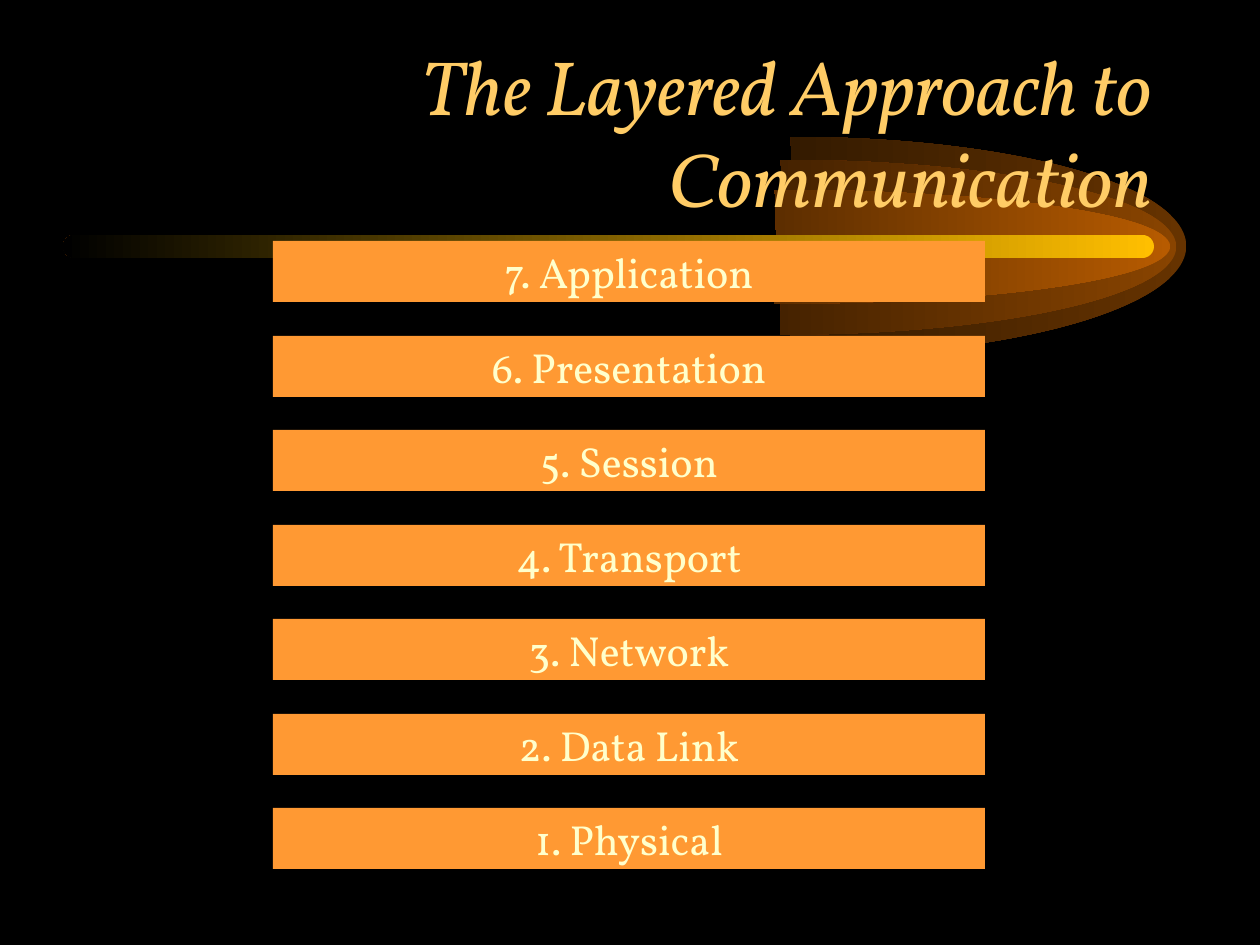
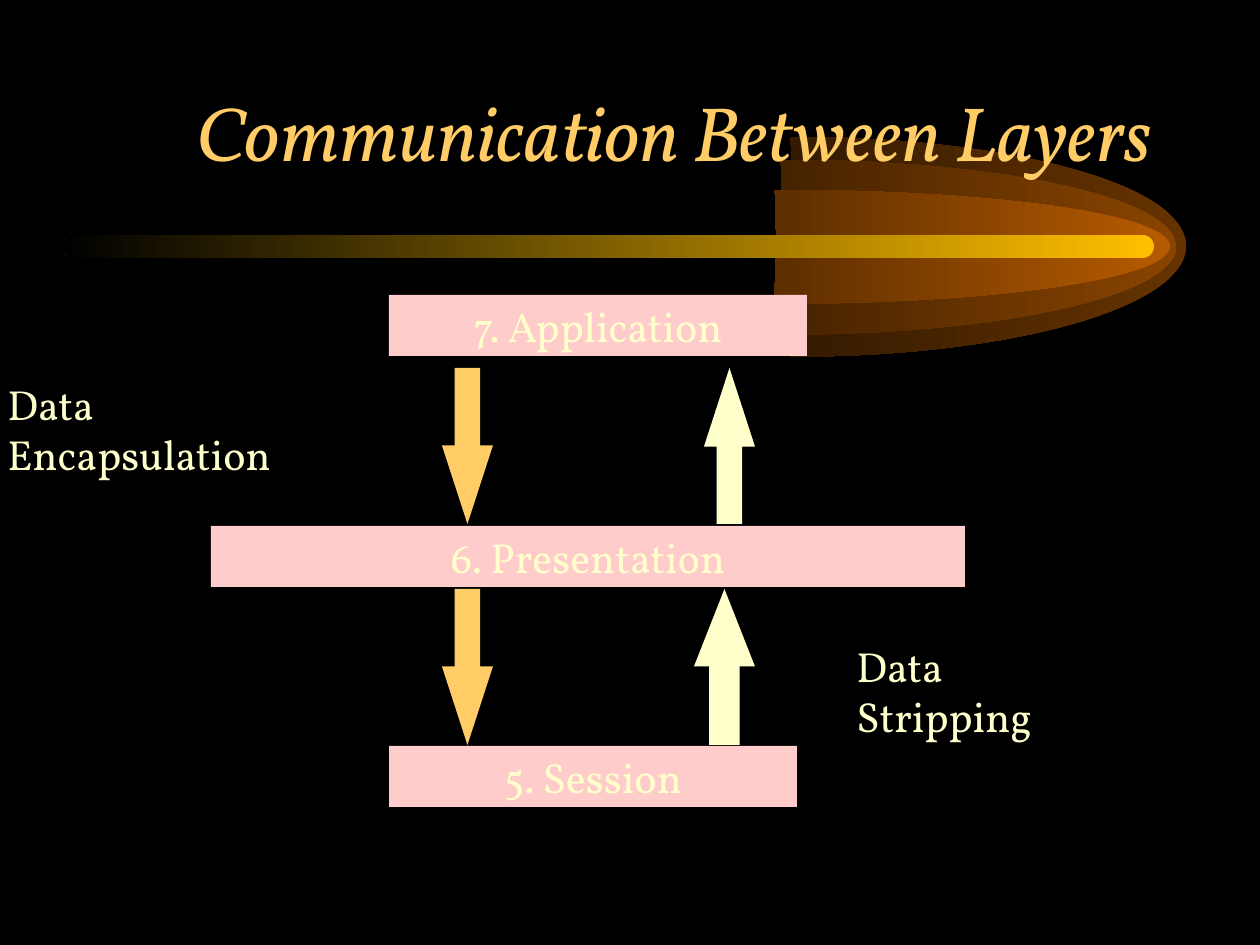
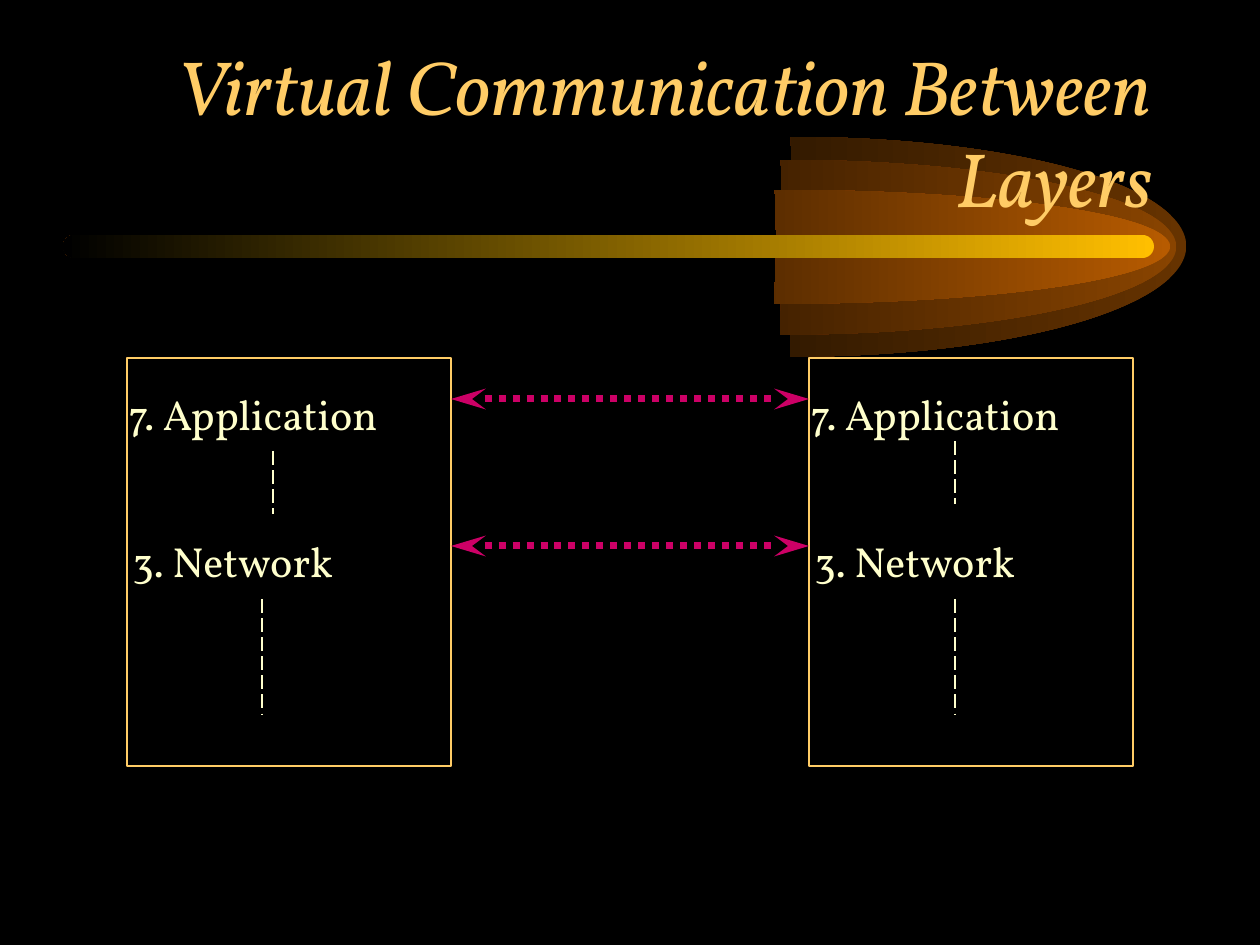
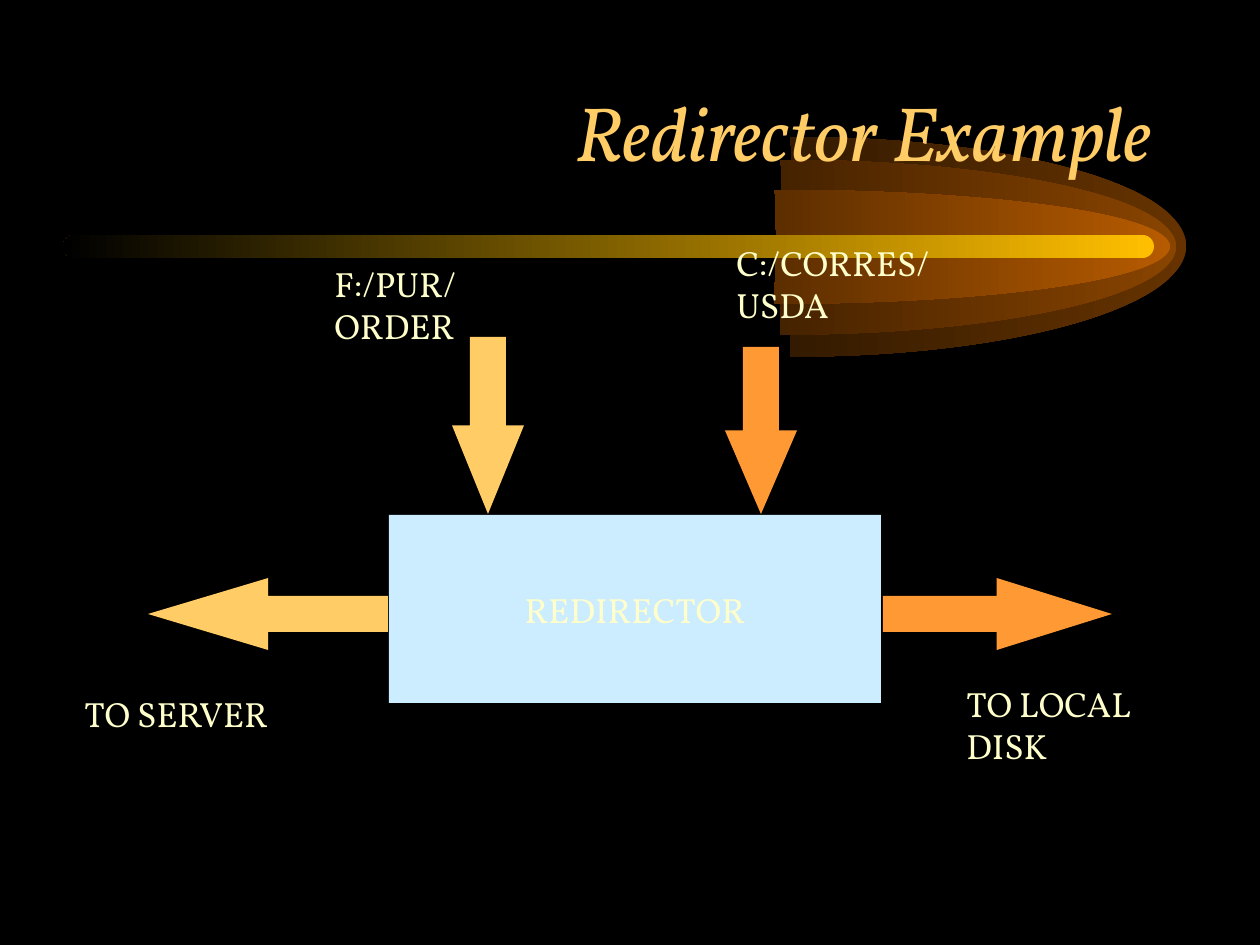
"""Build four slides on layered network communication."""
import copy
import dataclasses

import lxml.etree
import pptx
import pptx.dml.color
import pptx.enum.dml
import pptx.enum.shapes
import pptx.enum.text
import pptx.oxml.ns
import pptx.util

EMU_PER_PX = 914400 / 126
SHAPE = pptx.enum.shapes.MSO_SHAPE
ALIGN = pptx.enum.text.PP_ALIGN
ANCHOR = pptx.enum.text.MSO_ANCHOR
DASH = pptx.enum.dml.MSO_LINE

GLOW_UNITS = 1000
GLOW_OUTLINE = (
    ("moveTo", [(498, 0)]),
    ("cubicBezTo", [(677, -2), (843, 92), (933, 246)]),
    ("cubicBezTo", [(1022, 400), (1021, 596), (931, 750)]),
    ("cubicBezTo", [(842, 904), (676, 1000), (497, 998)]),
    ("lnTo", [(500, 500)]),
    ("close", []),
)


@dataclasses.dataclass(frozen=True)
class Theme:
    font: str = "Vollkorn"
    title_size: int = 44
    layer_size: int = 24
    caption_size: int = 20
    background: str = "000000"
    title: str = "FFCC66"
    text: str = "FFFFCC"
    gold: str = "FFCC66"
    orange: str = "FF9933"
    pink: str = "FFCCCC"
    sky: str = "CCECFF"
    magenta: str = "CC0066"
    band: str = "FFBF00"
    glow_outer: str = "663300"
    glow_middle: str = "894400"
    glow_inner: str = "B75B00"


THEME = Theme()


def px(length):
    return pptx.util.Emu(round(length * EMU_PER_PX))


def rgb(value):
    return pptx.dml.color.RGBColor.from_string(value)


def qn(name):
    return pptx.oxml.ns.qn("a:" + name)


def fade_in(shape, color):
    shape.shadow.inherit = False
    shape.line.fill.background()
    shape.fill.gradient()
    shape.fill.gradient_angle = 180
    for stop, value in zip(shape.fill.gradient_stops, (color, THEME.background)):
        stop.color.rgb = rgb(value)


def write(shape, lines, size, color=THEME.text, align=ALIGN.LEFT,
          anchor=ANCHOR.TOP, italic=False):
    frame = shape.text_frame
    frame.word_wrap = True
    frame.vertical_anchor = anchor
    frame.text = "\n".join(lines)
    for para in frame.paragraphs:
        para.alignment = align
        para.font.name = THEME.font
        para.font.size = pptx.util.Pt(size)
        para.font.italic = italic
        para.font.color.rgb = rgb(color)


def add_label(page, left, top, width, height, lines, size=THEME.layer_size, **style):
    box = page.shapes.add_textbox(px(left), px(top), px(width), px(height))
    write(box, lines, size, **style)


def add_block(page, kind, left, top, width, height, color):
    block = page.shapes.add_shape(kind, px(left), px(top), px(width), px(height))
    block.shadow.inherit = False
    block.fill.solid()
    block.fill.fore_color.rgb = rgb(color)
    block.line.fill.background()
    return block


def add_text_block(page, left, top, width, height, text, color, size=THEME.layer_size):
    block = add_block(page, SHAPE.RECTANGLE, left, top, width, height, color)
    write(block, [text], size, align=ALIGN.CENTER, anchor=ANCHOR.MIDDLE)


def add_arrow(page, kind, left, top, width, height, color, head):
    arrow = add_block(page, kind, left, top, width, height, color)
    arrow.adjustments[0] = 0.5
    arrow.adjustments[1] = head


def add_panel(page, left, top, width, height):
    panel = page.shapes.add_shape(SHAPE.RECTANGLE, px(left), px(top), px(width), px(height))
    panel.shadow.inherit = False
    panel.fill.background()
    panel.line.color.rgb = rgb(THEME.gold)
    panel.line.width = pptx.util.Pt(1)


def add_line(page, start, end, color, width, dash, arrowheads=False):
    line = page.shapes.add_connector(
        pptx.enum.shapes.MSO_CONNECTOR.STRAIGHT, *map(px, start + end))
    line.line.color.rgb = rgb(color)
    line.line.width = pptx.util.Pt(width)
    line.line.dash_style = dash
    properties = line.element.spPr
    if arrowheads:
        outline = properties.find(qn("ln"))
        for tag in ("headEnd", "tailEnd"):
            lxml.etree.SubElement(outline, qn(tag), type="stealth", w="med", len="lg")
    lxml.etree.SubElement(properties, qn("effectLst"))


def add_glow(page, left, top, width, height, color):
    scale = (px(width) / GLOW_UNITS, px(height) / GLOW_UNITS)
    builder = page.shapes.build_freeform(0, 0, scale)
    builder.add_line_segments([(GLOW_UNITS, GLOW_UNITS)], close=False)
    glow = builder.convert_to_shape(px(left), px(top))
    area = next(glow.element.iter(qn("path")))
    for step in list(area):
        area.remove(step)
    for tag, points in GLOW_OUTLINE:
        step = lxml.etree.SubElement(area, qn(tag))
        for x, y in points:
            lxml.etree.SubElement(step, qn("pt"), x=str(x), y=str(y))
    rim = copy.deepcopy(area)
    rim.set("fill", "none")
    for step in list(rim)[-2:]:
        rim.remove(step)
    area.addnext(rim)
    fade_in(glow, color)


def add_page(deck, title):
    page = deck.slides.add_slide(deck.slide_layouts[6])
    add_glow(page, 398, 137, 789, 220, THEME.glow_outer)
    add_glow(page, 388, 160, 789, 175, THEME.glow_middle)
    add_glow(page, 382, 190, 789, 114, THEME.glow_inner)
    band = page.shapes.add_shape(
        SHAPE.ROUNDED_RECTANGLE, px(63), px(235), px(1091), px(23))
    band.adjustments[0] = 0.5
    fade_in(band, THEME.band)
    add_label(page, 94, 52, 1071, 158, [title], THEME.title_size, color=THEME.title,
              align=ALIGN.RIGHT, anchor=ANCHOR.MIDDLE, italic=True)
    return page


def build_layers(deck):
    page = add_page(deck, "The Layered Approach to Communication")
    layers = ("7. Application", "6. Presentation", "5. Session", "4. Transport",
              "3. Network", "2. Data Link", "1. Physical")
    for row, layer in enumerate(layers):
        add_text_block(page, 273, 241 + (row * 189 + 1) // 2, 712, 61, layer, THEME.orange)


def build_layer_exchange(deck):
    page = add_page(deck, "Communication Between Layers")
    for left, top, width, layer in ((389, 295, 418, "7. Application"),
                                    (211, 526, 754, "6. Presentation"),
                                    (389, 746, 408, "5. Session")):
        add_text_block(page, left, top, width, 61, layer, THEME.pink)
    for top, up_left, up_width, up_head in ((368, 704, 51, 1.54), (589, 694, 61, 1.27)):
        add_arrow(page, SHAPE.DOWN_ARROW, 442, top, 51, 156, THEME.gold, 1.54)
        add_arrow(page, SHAPE.UP_ARROW, up_left, top, up_width, 156, THEME.text, up_head)
    add_label(page, -5, 372, 311, 113, ["Data", "Encapsulation"])
    add_label(page, 844, 634, 212, 113, ["Data", "Stripping"])


def build_virtual_links(deck):
    page = add_page(deck, "Virtual Communication Between Layers")
    for left in (127, 809):
        add_panel(page, left, 358, 324, 408)
        add_label(page, left - 11, 382, 302, 63, ["7. Application"])
        add_label(page, left - 7, 529, 244, 63, ["3. Network"])
    for y in (399, 546):
        add_line(page, (451, y), (809, y), THEME.magenta, 4, DASH.ROUND_DOT, True)
    for x, top, bottom in ((262, 599, 714), (273, 451, 514),
                           (955, 441, 504), (955, 599, 714)):
        add_line(page, (x, top), (x, bottom), THEME.text, 1, DASH.LONG_DASH)


def build_redirector(deck):
    page = add_page(deck, "Redirector Example")
    add_text_block(page, 389, 515, 492, 188, "REDIRECTOR", THEME.sky, THEME.caption_size)
    for kind, left, top, width, height, color, head in (
            (SHAPE.DOWN_ARROW, 452, 337, 72, 177, THEME.gold, 1.23),
            (SHAPE.DOWN_ARROW, 725, 347, 72, 167, THEME.orange, 1.16),
            (SHAPE.LEFT_ARROW, 148, 578, 240, 72, THEME.gold, 1.67),
            (SHAPE.RIGHT_ARROW, 883, 578, 229, 72, THEME.orange, 1.6)):
        add_arrow(page, kind, left, top, width, height, color, head)
    for left, top, width, height, lines in (
            (322, 256, 260, 54, ["F:/PUR/ORDER"]),
            (724, 235, 304, 54, ["C:/CORRES/USDA"]),
            (72, 686, 214, 54, ["TO SERVER"]),
            (954, 676, 198, 97, ["TO LOCAL", "DISK"])):
        add_label(page, left, top, width, height, lines, THEME.caption_size)


def main():
    deck = pptx.Presentation()
    deck.slide_width, deck.slide_height = px(1260), px(945)
    background = deck.slide_master.background.fill
    background.solid()
    background.fore_color.rgb = rgb(THEME.background)
    build_layers(deck)
    build_layer_exchange(deck)
    build_virtual_links(deck)
    build_redirector(deck)
    deck.save("out.pptx")


if __name__ == "__main__":
    main()
